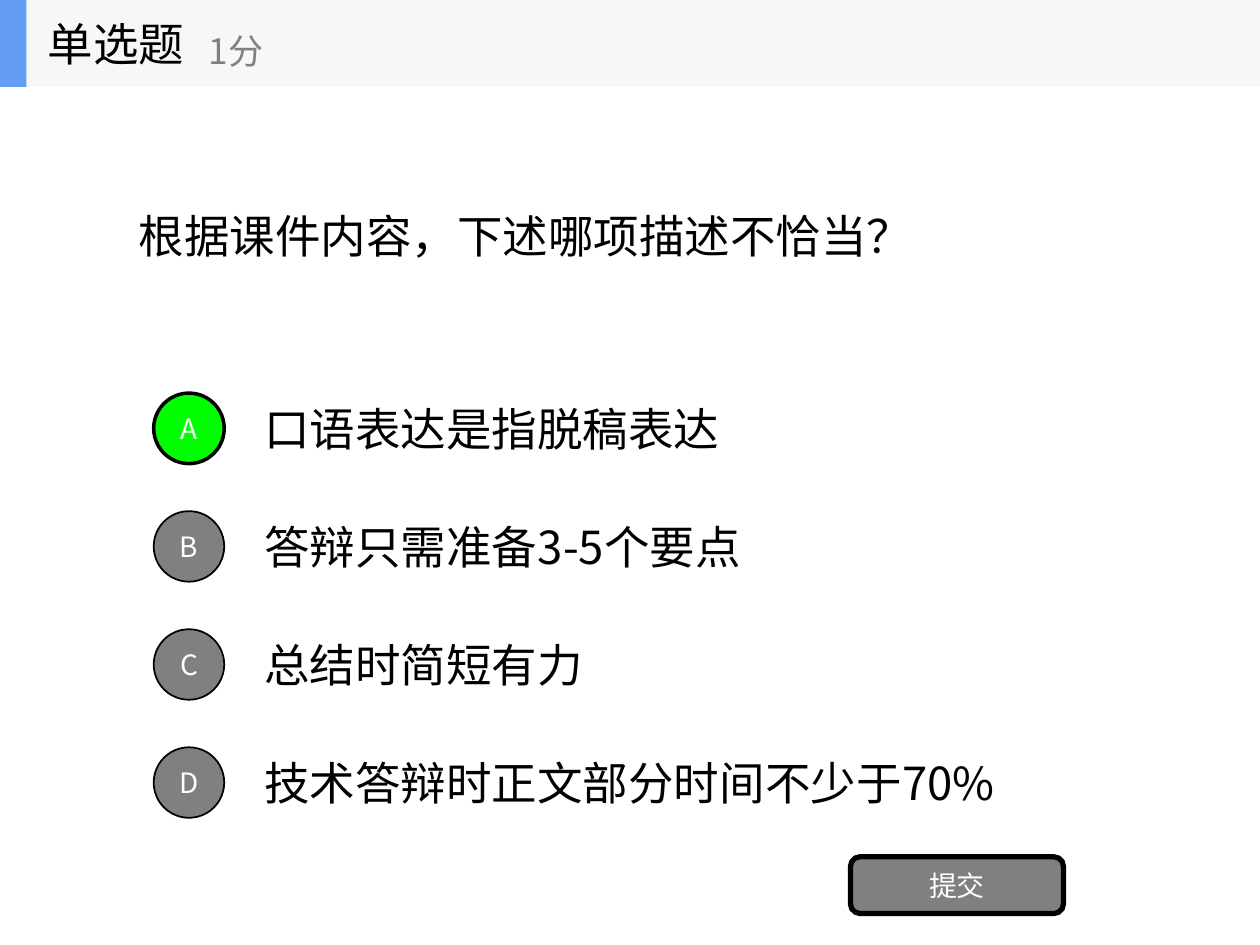
"""Build a single-choice quiz slide with four options and a submit button."""
from lxml import etree
from pptx import Presentation
from pptx.dml.color import RGBColor
from pptx.enum.shapes import MSO_SHAPE
from pptx.enum.text import MSO_ANCHOR, MSO_AUTO_SIZE, PP_ALIGN
from pptx.oxml.ns import qn
from pptx.util import Inches, Pt

RECT, OVAL, ROUNDED = MSO_SHAPE.RECTANGLE, MSO_SHAPE.OVAL, MSO_SHAPE.ROUNDED_RECTANGLE
LEFT, CENTER = PP_ALIGN.LEFT, PP_ALIGN.CENTER
MIDDLE, NO_FIT = MSO_ANCHOR.MIDDLE, MSO_AUTO_SIZE.NONE

FONT = "Noto Sans CJK SC"
BLACK, WHITE, GREY, GREEN = "000000", "FFFFFF", "808080", "00FF00"
PALE, BLUE = "F6F7F8", "639EF4"

QUESTION = "根据课件内容，下述哪项描述不恰当？"
OPTIONS = [
    ("A", "口语表达是指脱稿表达"),
    ("B", "答辩只需准备3-5个要点"),
    ("C", "总结时简短有力"),
    ("D", "技术答辩时正文部分时间不少于70%"),
]
ANSWER = "A"
BANDS = [((0, 0, 10, 0.69), PALE), ((0, 0, 0.21, 0.69), BLUE)]
HEADINGS = [
    ("单选题", (0.28, 0, 2.08, 0.69), 26, BLACK),
    ("1分", (1.56, 0.12, 2.5, 0.56), 20, GREY),
]
OPTION_TOP, OPTION_PITCH, OPTION_HEIGHT, BADGE = 3.05, 0.937, 0.7, 0.56


def rgb(value):
    return RGBColor.from_string(value)


def inches(box):
    return [Inches(v) for v in box]


def write(sp, text, size, color, align=LEFT, wrap=True):
    tf = sp.text_frame
    frame = {"auto_size": NO_FIT, "word_wrap": wrap, "vertical_anchor": MIDDLE}
    for name, value in frame.items():
        setattr(tf, name, value)
    p = tf.paragraphs[0]
    p.alignment = align
    r = p.add_run()
    r.text = text
    for name, value in {"size": Pt(size), "name": FONT}.items():
        setattr(r.font, name, value)
    r.font.color.rgb = rgb(color)
    etree.SubElement(r.font._element, qn("a:ea"), typeface=FONT)


def add_text(s, text, box, size, color):
    write(s.shapes.add_textbox(*inches(box)), text, size, color)


def add_shape(s, kind, box, fill, line=0):
    sp = s.shapes.add_shape(kind, *inches(box))
    sp.shadow.inherit = False
    sp.fill.solid()
    sp.fill.fore_color.rgb = rgb(fill)
    if line:
        sp.line.color.rgb = rgb(BLACK)
        sp.line.width = Pt(line)
    else:
        sp.line.fill.background()
    return sp


def add_button(s, kind, box, text, fill, line):
    sp = add_shape(s, kind, box, fill, line)
    write(sp, text, 16, WHITE, CENTER, wrap=False)


def main():
    prs = Presentation()
    prs.slide_width, prs.slide_height = Inches(10), Inches(7.5)
    s = prs.slides.add_slide(prs.slide_layouts[5])

    title = s.shapes.title
    title.left, title.top, title.width, title.height = inches((1, 1.21, 8, 1.31))
    write(title, QUESTION, 26, BLACK)

    for i, (letter, text) in enumerate(OPTIONS):
        top = OPTION_TOP + i * OPTION_PITCH
        add_text(s, text, (2, top, 7, OPTION_HEIGHT), 26, BLACK)
        badge_top = top + (OPTION_HEIGHT - BADGE) / 2
        fill, line = (GREEN, 2) if letter == ANSWER else (GREY, 1)
        add_button(s, OVAL, (1.22, badge_top, BADGE, BADGE), letter, fill, line)

    add_button(s, ROUNDED, (6.75, 6.8, 1.69, 0.45), "提交", GREY, 3)

    for box, fill in BANDS:
        add_shape(s, RECT, box, fill)
    for heading in HEADINGS:
        add_text(s, *heading)

    prs.save("out.pptx")


if __name__ == "__main__":
    main()
